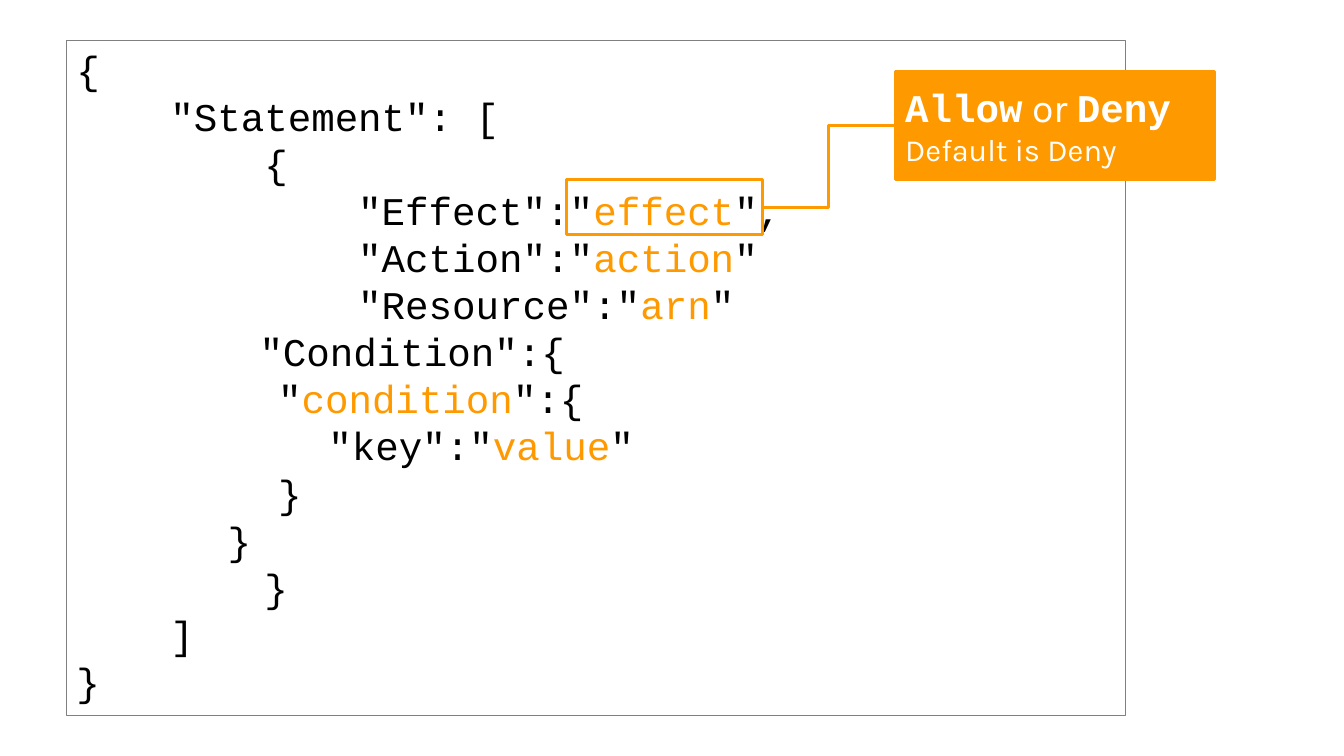
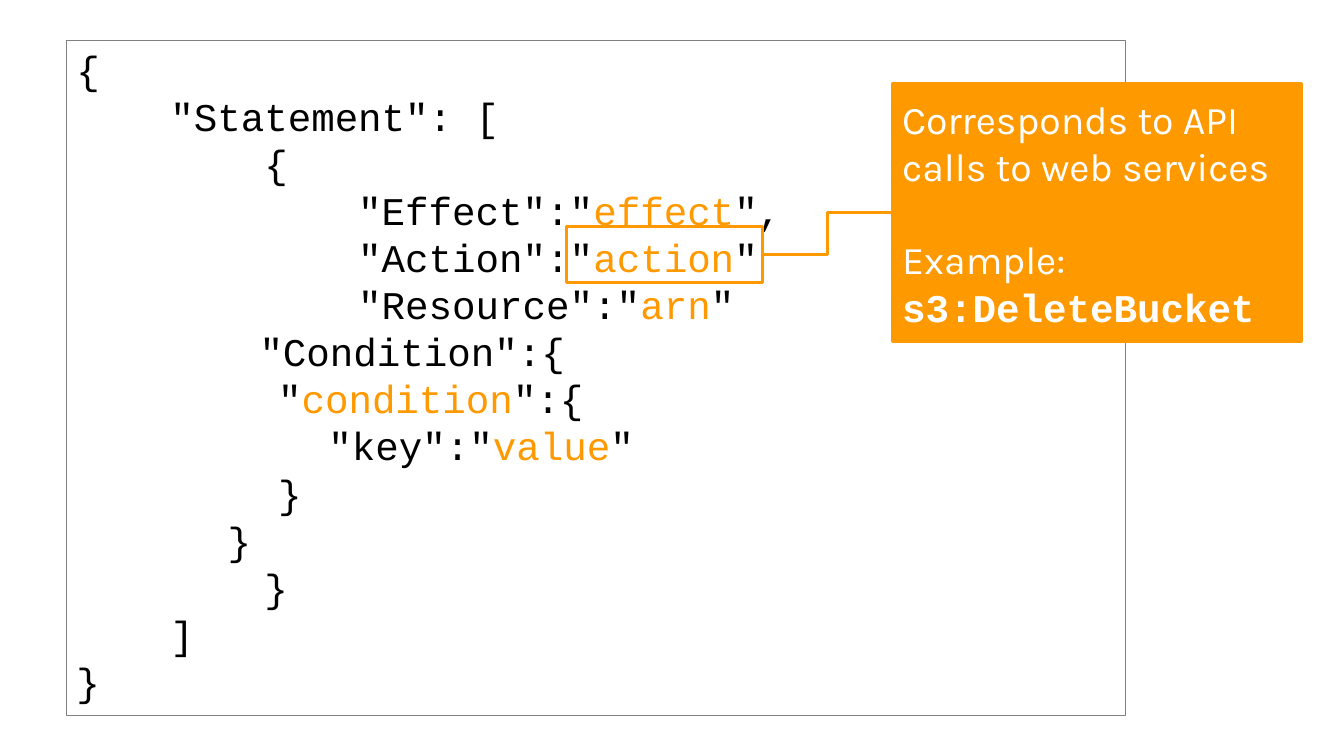
import pptx
import pptx.util
import pptx.dml.color
import pptx.enum.shapes
import pptx.enum.text
import lxml.etree
from pptx.oxml.ns import qn

PX = 9144  # 100 px to the inch
ORANGE, BLACK, WHITE, GREY = "FF9900", "000000", "FFFFFF", "808080"
MONO, SANS = "Courier New", "Karla"
CODE_SIZE = 28
ROW_PITCH = 47
EFFECT_ROW, ACTION_ROW = 0, 1

# Each line of the policy is a list of (text, colour, size) pieces.
def plain(text, size=CODE_SIZE):
    return text, BLACK, size


def value(text):
    return text, ORANGE, CODE_SIZE


POLICY = [
    [plain('{')],
    [plain('    "Statement": [')],
    [plain('        {')],
    [plain('            "Effect":"'), value('effect'), plain('",')],
    [plain('            "Action":"'), value('action'), plain('"')],
    [plain('            "Resource":"'), value('arn'), plain('"')],
    [plain('\t\t   '), plain(' ', 14), plain('"Condition":{')],
    [plain('\t\t\t\t"'), value('condition'), plain('":{')],
    [plain('\t\t\t\t\t"key":"'), value('value'), plain('"')],
    [plain('\t\t\t\t}')],
    [plain('\t\t\t}')],
    [plain('        }')],
    [plain('    ]')],
    [plain('}')],
]


def rgb(hex_string):
    return pptx.dml.color.RGBColor.from_string(hex_string)


def add_box(s, left, top, width, height, line, line_width, fill=None):
    sp = s.shapes.add_shape(pptx.enum.shapes.MSO_SHAPE.RECTANGLE,
                            left * PX, top * PX, width * PX, height * PX)
    sp.shadow.inherit = False
    if fill:
        sp.fill.solid()
        sp.fill.fore_color.rgb = rgb(fill)
    else:
        sp.fill.background()
    sp.line.color.rgb = rgb(line)
    sp.line.width = pptx.util.Pt(line_width)
    return sp


def next_paragraph(tf, index):
    p = tf.paragraphs[0] if index == 0 else tf.add_paragraph()
    p.alignment = pptx.enum.text.PP_ALIGN.LEFT
    return p


def add_policy(s):
    sp = add_box(s, 66, 40, 1050, 670, GREY, 0.75)
    tf = sp.text_frame
    tf.word_wrap = True
    tf.vertical_anchor = pptx.enum.text.MSO_ANCHOR.TOP
    for index, pieces in enumerate(POLICY):
        p = next_paragraph(tf, index)
        p.font.name = MONO
        for text, colour, size in pieces:
            r = p.add_run()
            r.text = text
            r.font.size = pptx.util.Pt(size)
            r.font.color.rgb = rgb(colour)


def add_highlight(s, row):
    return add_box(s, 562, 178 + row * ROW_PITCH, 194, 55, ORANGE, 2.25)


def add_callout(s, left, top, width, height, paragraphs):
    """Paragraphs are (size, space before, [(text, is code)])."""
    sp = add_box(s, left, top, width, height, ORANGE, 2.25, fill=ORANGE)
    tf = sp.text_frame
    tf.word_wrap = True
    tf.vertical_anchor = pptx.enum.text.MSO_ANCHOR.MIDDLE
    for index, (size, space_before, pieces) in enumerate(paragraphs):
        p = next_paragraph(tf, index)
        p.font.size = pptx.util.Pt(size)
        p.font.color.rgb = rgb(WHITE)
        if space_before:
            p.space_before = pptx.util.Pt(space_before)
        for text, is_code in pieces:
            r = p.add_run()
            r.text = text
            r.font.name = MONO if is_code else SANS
            r.font.bold = is_code
    return sp


def link(s, callout, highlight):
    """Bent line from the callout's left side to the highlight's right side."""
    c = s.shapes.add_connector(pptx.enum.shapes.MSO_CONNECTOR.ELBOW, 0, 0, 0, 0)
    c.begin_connect(callout, 1)
    c.end_connect(highlight, 3)
    c.line.color.rgb = rgb(ORANGE)
    c.line.width = pptx.util.Pt(2.25)
    lxml.etree.SubElement(c._element.spPr, qn("a:effectLst"))


def add_policy_slide(prs, row, callout_at, paragraphs):
    s = prs.slides.add_slide(prs.slide_layouts[6])
    add_policy(s)
    highlight = add_highlight(s, row)
    callout = add_callout(s, *callout_at, paragraphs)
    link(s, callout, highlight)


def main():
    prs = pptx.Presentation()
    prs.slide_width, prs.slide_height = 1333 * PX, 750 * PX
    add_policy_slide(prs, EFFECT_ROW, (888, 71, 317, 107), [
        (28, 0, [("Allow", True), (" or ", False), ("Deny", True)]),
        (22, 0, [("Default is Deny", False)]),
    ])
    add_policy_slide(prs, ACTION_ROW, (885, 83, 406, 256), [
        (28, 0, [("Corresponds to API calls to web services", False)]),
        (28, 33, [("Example:", False)]),
        (28, 0, [("s3:DeleteBucket", True)]),
    ])
    prs.save("out.pptx")


if __name__ == "__main__":
    main()
